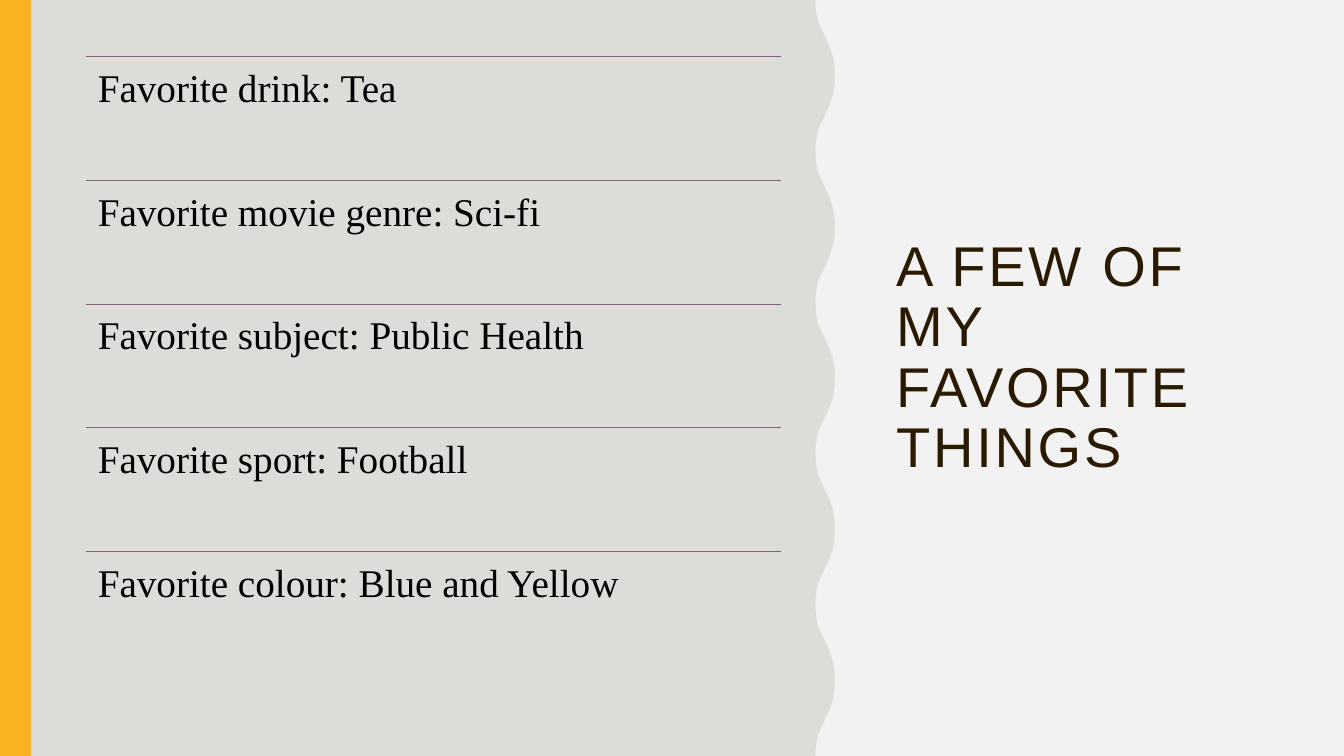
from lxml.etree import SubElement
from pptx import Presentation
from pptx.dml.color import RGBColor
from pptx.enum.shapes import MSO_CONNECTOR as Connector, MSO_SHAPE as Shape
from pptx.enum.text import MSO_ANCHOR as Anchor
from pptx.oxml.ns import qn
from pptx.util import Inches, Pt

BACKGROUND = RGBColor(0xF3, 0xF3, 0xF2)
PANEL = RGBColor(0xF2, 0xF2, 0xF2)
GREY = RGBColor(0xDC, 0xDC, 0xD9)
YELLOW = RGBColor(0xF8, 0xB3, 0x23)
BROWN = RGBColor(0x2A, 0x1A, 0x00)
RULE = RGBColor(0x82, 0x62, 0x76)
BLACK = RGBColor(0, 0, 0)

WIDTH, HEIGHT = 13.33, 7.5
WAVE_LEFT, WAVE_PERIOD = 7.31, 1.5
HALF_WAVE = [
    (8.09, 0), (8.09, 0.07), (8.1, 0.14), (8.11, 0.2), (8.13, 0.25),
    (8.15, 0.29), (8.17, 0.33), (8.19, 0.38), (8.21, 0.42), (8.23, 0.46),
    (8.24, 0.5), (8.26, 0.55), (8.27, 0.61), (8.28, 0.68), (8.28, 0.75),
]
LIST_LEFT, LIST_TOP, LIST_WIDTH, ROW_HEIGHT = 0.85, 0.56, 6.9, 1.2275
FAVORITES = [
    "Favorite drink: Tea",
    "Favorite movie genre: Sci-fi",
    "Favorite subject: Public Health",
    "Favorite sport: Football",
    "Favorite colour: Blue and Yellow",
]


def write_text(frame, text, *, font, size, color, spacing=0):
    paragraph = frame.paragraphs[0]
    paragraph.line_spacing = 0.9
    run = paragraph.add_run()
    run.text = text
    run.font.name = font
    run.font.size = Pt(size)
    run.font.color.rgb = color
    if spacing:
        run._r.get_or_add_rPr().set("spc", str(spacing * 100))


class SlideBuilder:
    def __init__(self, slide):
        self.slide = slide
        background = slide.background.fill
        background.solid()
        background.fore_color.rgb = BACKGROUND

    def paint(self, shape, color):
        shape.shadow.inherit = False
        shape.fill.solid()
        shape.fill.fore_color.rgb = color
        shape.line.fill.background()

    def band(self, left, width, color):
        shape = self.slide.shapes.add_shape(
            Shape.RECTANGLE, Inches(left), 0, Inches(width), Inches(HEIGHT))
        self.paint(shape, color)

    def wave(self, color):
        mirrored = [(x, WAVE_PERIOD - y) for x, y in reversed(HALF_WAVE[:-1])]
        period = HALF_WAVE + mirrored
        edge = [(x, y + index * WAVE_PERIOD)
                for index in range(round(HEIGHT / WAVE_PERIOD)) for x, y in period]
        points = [(Inches(x), Inches(y)) for x, y in edge + [(WAVE_LEFT, HEIGHT)]]
        builder = self.slide.shapes.build_freeform(Inches(WAVE_LEFT), 0)
        builder.add_line_segments(points, close=True)
        self.paint(builder.convert_to_shape(), color)

    def rule(self, left, top, width):
        line = self.slide.shapes.add_connector(
            Connector.STRAIGHT, Inches(left), Inches(top),
            Inches(left + width), Inches(top))
        line.line.color.rgb = RULE
        line.line.width = Pt(0.5)
        SubElement(line._element.spPr, qn("a:effectLst"))

    def text(self, left, top, width, height, text, *, anchor=Anchor.TOP,
             inset=None, **style):
        box = self.slide.shapes.add_textbox(
            Inches(left), Inches(top), Inches(width), Inches(height))
        frame = box.text_frame
        frame.word_wrap = True
        frame.vertical_anchor = anchor
        if inset is not None:
            frame.margin_left = frame.margin_right = Inches(inset)
            frame.margin_top = frame.margin_bottom = Inches(inset)
        write_text(frame, text, **style)


def main():
    presentation = Presentation()
    presentation.slide_width = Inches(WIDTH)
    presentation.slide_height = Inches(HEIGHT)
    builder = SlideBuilder(
        presentation.slides.add_slide(presentation.slide_layouts[6]))

    builder.band(6.05, 7.28, PANEL)
    builder.wave(GREY)
    builder.band(0.22, 7.28, GREY)
    builder.band(0, 0.31, YELLOW)
    builder.text(8.79, 0.42, 4.06, 6.28, "A FEW OF MY FAVORITE THINGS",
                 anchor=Anchor.MIDDLE, font="Arial", size=40, color=BROWN, spacing=2)

    for row, favorite in enumerate(FAVORITES):
        top = LIST_TOP + row * ROW_HEIGHT
        builder.rule(LIST_LEFT, top, LIST_WIDTH)
        builder.text(LIST_LEFT, top, LIST_WIDTH, ROW_HEIGHT, favorite, inset=0.12,
                     font="Times New Roman", size=28, color=BLACK)

    presentation.save("out.pptx")


if __name__ == "__main__":
    main()
